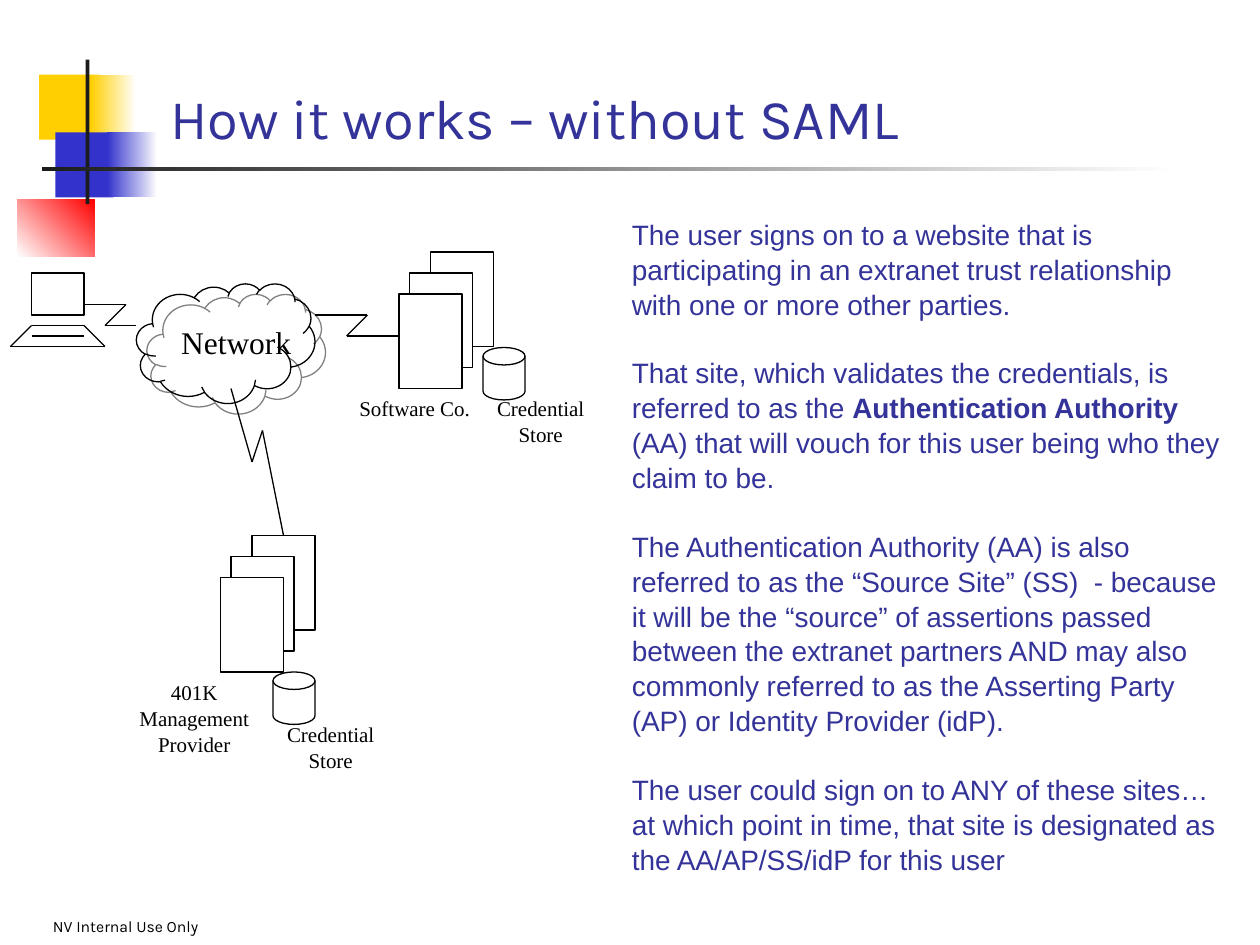
from dataclasses import dataclass
from typing import Optional

from lxml.etree import SubElement
from pptx import Presentation
from pptx.dml.color import RGBColor
from pptx.enum.shapes import MSO_CONNECTOR, MSO_SHAPE
from pptx.enum.text import MSO_ANCHOR, MSO_AUTO_SIZE, PP_ALIGN
from pptx.oxml.ns import qn
from pptx.util import Emu, Inches, Pt

WIDTH, HEIGHT = Inches(10), Inches(7.5)
COLUMNS, ROWS = 120, 90
COLORS = {
    "white": "FFFFFF", "black": "000000", "ink": "1C1C1C", "navy": "333399",
    "yellow": "FFCF01", "blue": "3333CC", "red": "FF0000", "shadow": "808080",
}


@dataclass(frozen=True)
class Area:
    """A rectangle as shares of the slide's width and height."""
    left: float
    top: float
    width: float
    height: float

    def lengths(self) -> tuple:
        """Return left, top, width and height in EMU."""
        return (Emu(round(self.left * WIDTH)), Emu(round(self.top * HEIGHT)),
                Emu(round(self.width * WIDTH)), Emu(round(self.height * HEIGHT)))


@dataclass(frozen=True)
class Accent:
    """A decorative bar, plain or fading to a second colour."""
    area: Area
    color: str
    fade: Optional[str] = None
    angle: int = 0


@dataclass(frozen=True)
class Label:
    """A centred caption of the diagram."""
    text: str
    area: Area
    size: int = 12


@dataclass(frozen=True)
class Site:
    """A stack of servers with its credential store, placed by grid cell."""
    front: tuple
    store: tuple


def grid(column: float, row: float, columns: float, rows: float) -> Area:
    """Turn grid cells into an area."""
    return Area(column / COLUMNS, row / ROWS, columns / COLUMNS, rows / ROWS)


def color(name: str) -> RGBColor:
    """Look up a named colour."""
    return RGBColor.from_string(COLORS[name])


ACCENTS = (
    Accent(Area(0.031, 0.079, 0.048, 0.069), "yellow"),
    Accent(Area(0.072, 0.079, 0.036, 0.069), "yellow", "white"),
    Accent(Area(0.044, 0.14, 0.046, 0.069), "blue"),
    Accent(Area(0.085, 0.14, 0.04, 0.069), "blue", "white"),
    Accent(Area(0.014, 0.211, 0.061, 0.061), "white", "red", 45),
    Accent(Area(0.068, 0.063, 0.003, 0.153), "ink"),
    Accent(Area(0.033, 0.177, 0.9, 0.004), "ink", "white"),
)
SITES = (Site((38, 28), (46, 33.1)), Site((21, 55), (26, 64)))
SERVER_OFFSETS = ((3, -4), (1, -2), (0, 0))
KEYBOARD = ((3, 31), (8, 31), (10, 33), (1, 33), (3, 31))
SPACE_BAR = ((3, 32), (8, 32))
LINKS = (
    ((8, 29), (12, 29), (10, 31), (13, 31)),
    ((30, 30), (35, 30), (33, 32), (38, 32)),
    ((22, 37), (24, 44), (25, 41), (27, 51)),
)
LABELS = (
    Label("Software Co.", grid(32, 37, 15, 3.6)),
    Label("401K Management Provider", grid(11, 64, 15, 8.4)),
    Label("Network", grid(13, 30, 19, 4.8), 18),
    Label("Credential\vStore", grid(25, 68, 13, 6)),
    Label("Credential\vStore", grid(45, 37, 13, 6)),
)
KEY_TERM = "Authentication Authority"
EXPLANATION = (
    ("The user signs on to a website that is participating in an extranet trust "
     "relationship with one or more other parties.",),
    ("That site, which validates the credentials, is referred to as the ", KEY_TERM,
     " (AA) that will vouch for this user being who they claim to be."),
    ("The Authentication Authority (AA) is also referred to as the “Source Site” (SS)  - "
     "because it will be the “source” of assertions passed between the extranet partners "
     "AND may also commonly referred to as the Asserting Party (AP) or Identity Provider "
     "(idP).",),
    ("The user could sign on to ANY of these sites… at which point in time, that site is "
     "designated as the AA/AP/SS/idP for this user",),
)


def style(para, font: str, size: float, name: str) -> None:
    """Format every run of a paragraph."""
    for span in para.runs:
        span.font.name, span.font.size = font, Pt(size)
        span.font.color.rgb = color(name)


def draw_accent(page, accent: Accent) -> None:
    """Draw one decorative bar."""
    bar = page.shapes.add_shape(MSO_SHAPE.RECTANGLE, *accent.area.lengths())
    bar.shadow.inherit = False
    bar.line.fill.background()
    if accent.fade is None:
        bar.fill.solid()
        bar.fill.fore_color.rgb = color(accent.color)
        return
    bar.fill.gradient()
    bar.fill.gradient_angle = accent.angle
    for stop, name in zip(bar.fill.gradient_stops, (accent.color, accent.fade)):
        stop.color.rgb = color(name)


def draw_outline(page, kind, area: Area, filled: bool = False):
    """Draw a black outlined shape, white inside when filled."""
    shape = page.shapes.add_shape(kind, *area.lengths())
    shape.shadow.inherit = False
    shape.line.color.rgb, shape.line.width = color("black"), Pt(0.75)
    if filled:
        shape.fill.solid()
        shape.fill.fore_color.rgb = color("white")
    else:
        shape.fill.background()
    return shape


def draw_strokes(page, cells: tuple) -> None:
    """Join grid cells with straight lines."""
    points = [grid(*cell, 0, 0).lengths()[:2] for cell in cells]
    for start, end in zip(points, points[1:]):
        stroke = page.shapes.add_connector(MSO_CONNECTOR.STRAIGHT, *start, *end)
        stroke.line.color.rgb, stroke.line.width = color("black"), Pt(0.75)
        SubElement(stroke._element.spPr, qn("a:effectLst"))


def draw_site(page, site: Site) -> None:
    """Draw three stacked servers and a credential store."""
    column, row = site.front
    for index, (right, down) in enumerate(SERVER_OFFSETS):
        draw_outline(page, MSO_SHAPE.RECTANGLE, grid(column + right, row + down, 6, 9), index > 0)
    draw_outline(page, MSO_SHAPE.FLOWCHART_MAGNETIC_DISK, grid(*site.store, 4, 5))


def draw_cloud(page) -> None:
    """Draw the network cloud with its offset shadow."""
    cloud = draw_outline(page, MSO_SHAPE.CLOUD, grid(13, 27, 17, 11.4))
    effects = cloud._element.spPr.find(qn("a:effectLst"))
    shadow = SubElement(effects, qn("a:outerShdw"), dist=str(Pt(8.5)), dir="2700000",
                        algn="ctr", rotWithShape="0")
    SubElement(shadow, qn("a:srgbClr"), val=COLORS["shadow"])


def add_text(page, area: Area, anchor=MSO_ANCHOR.TOP):
    """Add a wrapping text box and return its frame."""
    frame = page.shapes.add_textbox(*area.lengths()).text_frame
    frame.word_wrap, frame.vertical_anchor = True, anchor
    return frame


def draw_label(page, label: Label) -> None:
    """Write one diagram caption."""
    para = add_text(page, label.area).paragraphs[0]
    para.text = label.text
    para.alignment, para.line_spacing = PP_ALIGN.CENTER, 1.04
    style(para, "Times New Roman", label.size, "black")


def write_title(page) -> None:
    """Place and format the title."""
    title = page.shapes.title
    title.left, title.top, title.width, title.height = grid(15, 10, 82, 5).lengths()
    frame = title.text_frame
    frame.text = "How it works – without SAML"
    frame.vertical_anchor, frame.auto_size = MSO_ANCHOR.BOTTOM, MSO_AUTO_SIZE.NONE
    frame.paragraphs[0].alignment = PP_ALIGN.LEFT
    style(frame.paragraphs[0], "Karla", 32, "navy")


def write_explanation(page) -> None:
    """Write the four paragraphs beside the diagram."""
    frame = add_text(page, grid(59, 16, 59, 72), MSO_ANCHOR.MIDDLE)
    for index, parts in enumerate(EXPLANATION):
        para = frame.add_paragraph() if index else frame.paragraphs[0]
        para.line_spacing = 1.04
        if index:
            para.space_before = Pt(19.2)
        for part in parts:
            span = para.add_run()
            span.text = part
            span.font.bold = part == KEY_TERM
        style(para, "Arial", 16, "navy")


def write_footer(page) -> None:
    """Write the usage notice."""
    frame = add_text(page, grid(0, 84, 38, 6), MSO_ANCHOR.BOTTOM)
    frame.margin_left, frame.margin_bottom = Inches(0.42), Inches(0.07)
    frame.text = "NV Internal Use Only"
    style(frame.paragraphs[0], "Karla", 9, "black")


def main() -> None:
    """Build and save the slide."""
    deck = Presentation()
    deck.slide_width, deck.slide_height = WIDTH, HEIGHT
    page = deck.slides.add_slide(deck.slide_layouts[5])
    for accent in ACCENTS:
        draw_accent(page, accent)
    write_title(page)
    write_explanation(page)
    write_footer(page)
    draw_outline(page, MSO_SHAPE.RECTANGLE, grid(3, 26, 5, 4))
    draw_cloud(page)
    for cells in (KEYBOARD, SPACE_BAR, *LINKS):
        draw_strokes(page, cells)
    for site in SITES:
        draw_site(page, site)
    for label in LABELS:
        draw_label(page, label)
    deck.save("out.pptx")


if __name__ == "__main__":
    main()
